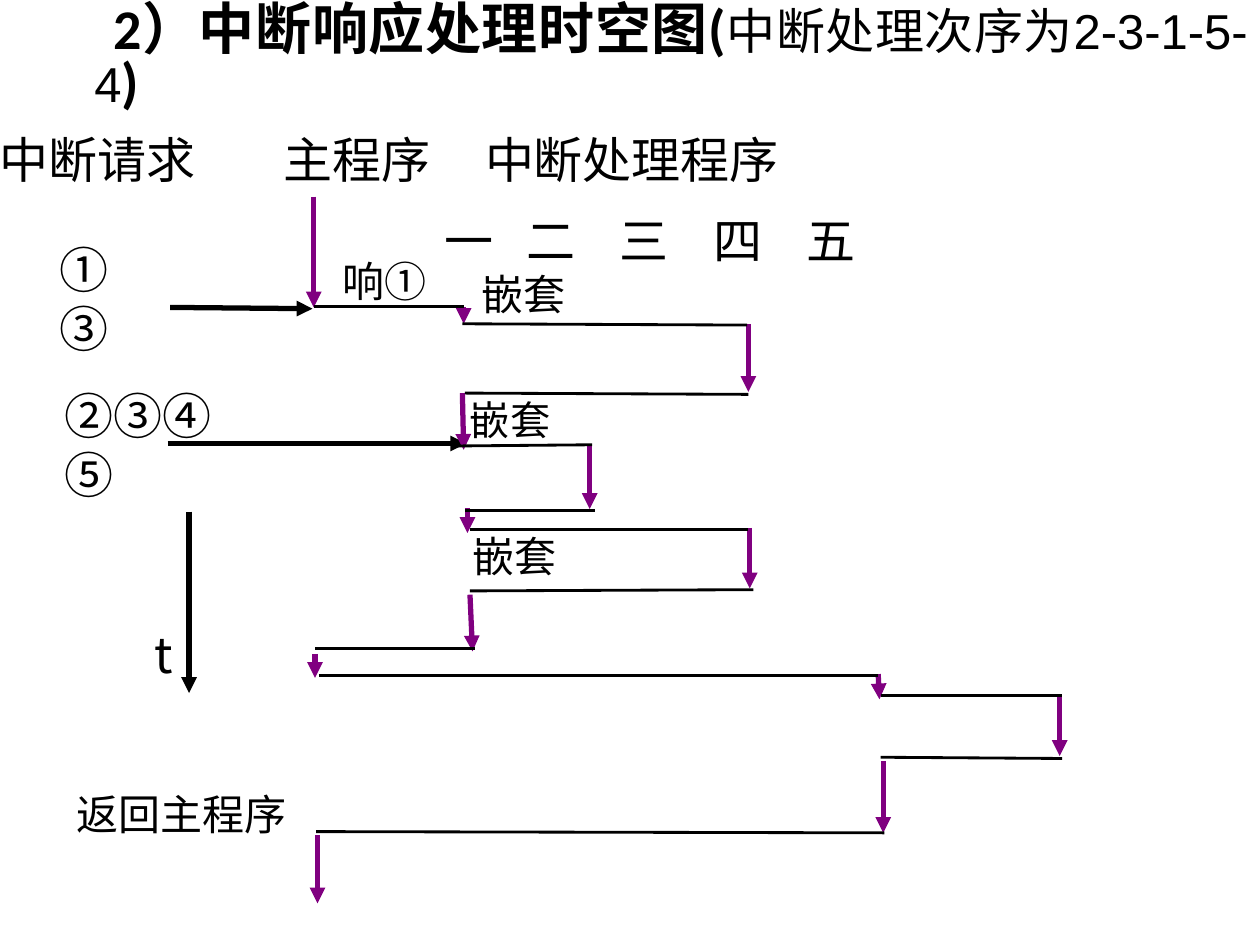
from dataclasses import dataclass

from lxml import etree
from pptx import Presentation
from pptx.dml.color import RGBColor
from pptx.enum.shapes import MSO_CONNECTOR
from pptx.enum.text import MSO_ANCHOR, PP_ALIGN
from pptx.oxml.ns import qn
from pptx.util import Inches, Pt

STRAIGHT = MSO_CONNECTOR.STRAIGHT
TOP = MSO_ANCHOR.TOP
JUSTIFY = PP_ALIGN.JUSTIFY


@dataclass(frozen=True)
class Theme:
    """Colours, fonts, type sizes and line widths of the slide."""
    ink: RGBColor = RGBColor(0, 0, 0)
    flow: RGBColor = RGBColor(0x80, 0, 0x80)
    body_font: str = "Noto Sans CJK SC"
    title_font: str = "Calibri"
    order_font: str = "Arial"
    number_font: str = "Times New Roman"
    title: int = 32
    heading: int = 28
    label: int = 24
    small_label: int = 23
    arrow: float = 3
    level: float = 1.62


THEME = Theme()

HEADINGS = [
    ("中断请求", 0, 1.03, 1.6),
    ("t", 1.23, 4.96, 0.14),
]
REQUESTS = [
    ("①③", 0.47, 1.9, 0.7),
    ("②③④⑤", 0.51, 3.06, 1.39),
]
NESTING_LABELS = [
    (3.82, 2.13, THEME.label),
    (3.73, 3.14, THEME.small_label),
    (3.75, 4.21, THEME.label),
]
REQUEST_ARROWS = [
    (1.35, 2.44, 2.48, 2.45),
    (1.33, 3.52, 3.7, 3.52),
]
TIME_AXIS = (1.5, 4.06, 1.5, 5.5)
LEVELS = [
    (2.49, 2.43, 3.68, 2.43),
    (3.67, 2.57, 5.93, 2.58),
    (3.69, 3.12, 5.94, 3.13),
    (3.59, 3.54, 4.7, 3.53),
    (3.69, 4.05, 4.72, 4.05),
    (3.73, 4.2, 5.94, 4.2),
    (3.73, 4.69, 5.98, 4.68),
    (2.5, 5.15, 3.77, 5.15),
    (2.53, 5.36, 6.97, 5.36),
    (6.99, 5.52, 8.43, 5.52),
    (6.99, 6.01, 8.43, 6.02),
    (2.51, 6.6, 7.02, 6.61),
]
FLOW_ARROWS = [
    (2.49, 1.56, 2.49, 2.44),
    (3.68, 2.44, 3.68, 2.57),
    (5.94, 2.57, 5.94, 3.11),
    (3.67, 3.12, 3.68, 3.57),
    (4.68, 3.53, 4.68, 4.04),
    (3.71, 4.03, 3.71, 4.23),
    (5.95, 4.19, 5.95, 4.67),
    (3.73, 4.72, 3.75, 5.17),
    (2.5, 5.19, 2.5, 5.38),
    (6.97, 5.35, 6.98, 5.55),
    (8.41, 5.53, 8.41, 6),
    (7.01, 6.04, 7.01, 6.61),
    (2.52, 6.63, 2.52, 7.17),
]


def add_run(paragraph, text, size, font=THEME.body_font, bold=False):
    """Append a run with its Latin and East Asian fonts."""
    run = paragraph.add_run()
    run.text = text
    run.font.size = Pt(size)
    run.font.bold = bold
    run.font.name = font
    run.font.color.rgb = THEME.ink
    east_asian = etree.SubElement(run.font._element, qn("a:ea"))
    east_asian.set("typeface", THEME.body_font)


def add_box(slide, left, top, width, height, wrap=False, inset=(0, 0)):
    """Add an empty text box and return its first paragraph."""
    shape = slide.shapes.add_textbox(*map(Inches, (left, top, width, height)))
    text_frame = shape.text_frame
    text_frame.word_wrap = wrap
    text_frame.vertical_anchor = TOP
    text_frame.margin_left = text_frame.margin_right = Inches(inset[0])
    text_frame.margin_top = text_frame.margin_bottom = Inches(inset[1])
    return text_frame.paragraphs[0]


def add_label(slide, text, left, top, width, size=THEME.heading, wrap=False):
    """Add a one-style label whose height follows its type size."""
    paragraph = add_box(slide, left, top, width, round(size / 60, 2), wrap)
    add_run(paragraph, text, size)
    return paragraph


def add_columns(slide, names, left, top, width, stops):
    """Add column names separated by tab stops."""
    paragraph = add_label(slide, "\t".join(names), left, top, width, wrap=True)
    tab_list = etree.SubElement(paragraph._p.get_or_add_pPr(), qn("a:tabLst"))
    for stop in stops:
        tab = etree.SubElement(tab_list, qn("a:tab"))
        tab.set("pos", str(Inches(stop)))
        tab.set("algn", "l")


def add_line(slide, ends, color, width, arrow=False):
    """Add a straight line, with an arrowhead at its end if asked."""
    connector = slide.shapes.add_connector(STRAIGHT, *map(Inches, ends))
    connector.line.color.rgb = color
    connector.line.width = Pt(width)
    if arrow:
        line = connector.line._get_or_add_ln()
        etree.SubElement(line, qn("a:tailEnd")).set("type", "triangle")
    etree.SubElement(connector._element.spPr, qn("a:effectLst"))


def add_title(slide):
    """Add the title with its handling order in lighter type."""
    paragraph = add_box(slide, 0.27, 0, 9.73, 0.99, True, (0.1, 0.05))
    paragraph.alignment = JUSTIFY
    paragraph.line_spacing = 0.8
    paragraph.space_before = Pt(8)
    properties = paragraph._p.get_or_add_pPr()
    properties.set("marL", str(Inches(0.38)))
    properties.set("indent", str(Inches(0.15)))
    add_run(paragraph, "2）中断响应处理时空图(", THEME.title, THEME.title_font, True)
    add_run(paragraph, "中断处理次序为2-3-1-5-4", THEME.heading, THEME.order_font)
    add_run(paragraph, ")", THEME.title, THEME.title_font, True)


def add_labels(slide):
    """Add headings, requests and notes of the diagram."""
    add_columns(slide, ["主程序", "中断处理程序"], 2.25, 1.03, 4.03, [1.6])
    handler_stops = [0.65 + 0.74 * step for step in range(4)]
    add_columns(slide, "一二三四五", 3.53, 1.67, 5.19, handler_stops)
    for heading in HEADINGS:
        add_label(slide, *heading)
    for request in REQUESTS:
        add_label(slide, *request, wrap=True)
    for left, top, size in NESTING_LABELS:
        add_label(slide, "嵌套", left, top, 0.67, size)
    add_label(slide, "返回主程序", 0.61, 6.26, 1.67, THEME.label)
    response = add_label(slide, "响", 2.72, 2.03, 0.67, THEME.label)
    add_run(response, "①", THEME.label, THEME.number_font)


def add_diagram(slide):
    """Add the program levels and the arrows between them."""
    for ends in [*REQUEST_ARROWS, TIME_AXIS]:
        add_line(slide, ends, THEME.ink, THEME.arrow, arrow=True)
    for ends in FLOW_ARROWS:
        add_line(slide, ends, THEME.flow, THEME.arrow, arrow=True)
    for ends in LEVELS:
        add_line(slide, ends, THEME.ink, THEME.level)


def main():
    """Build and save the interrupt timing slide."""
    presentation = Presentation()
    presentation.slide_width = Inches(10)
    presentation.slide_height = Inches(7.5)
    slide = presentation.slides.add_slide(presentation.slide_layouts[6])
    add_title(slide)
    add_labels(slide)
    add_diagram(slide)
    presentation.save("out.pptx")


if __name__ == "__main__":
    main()
